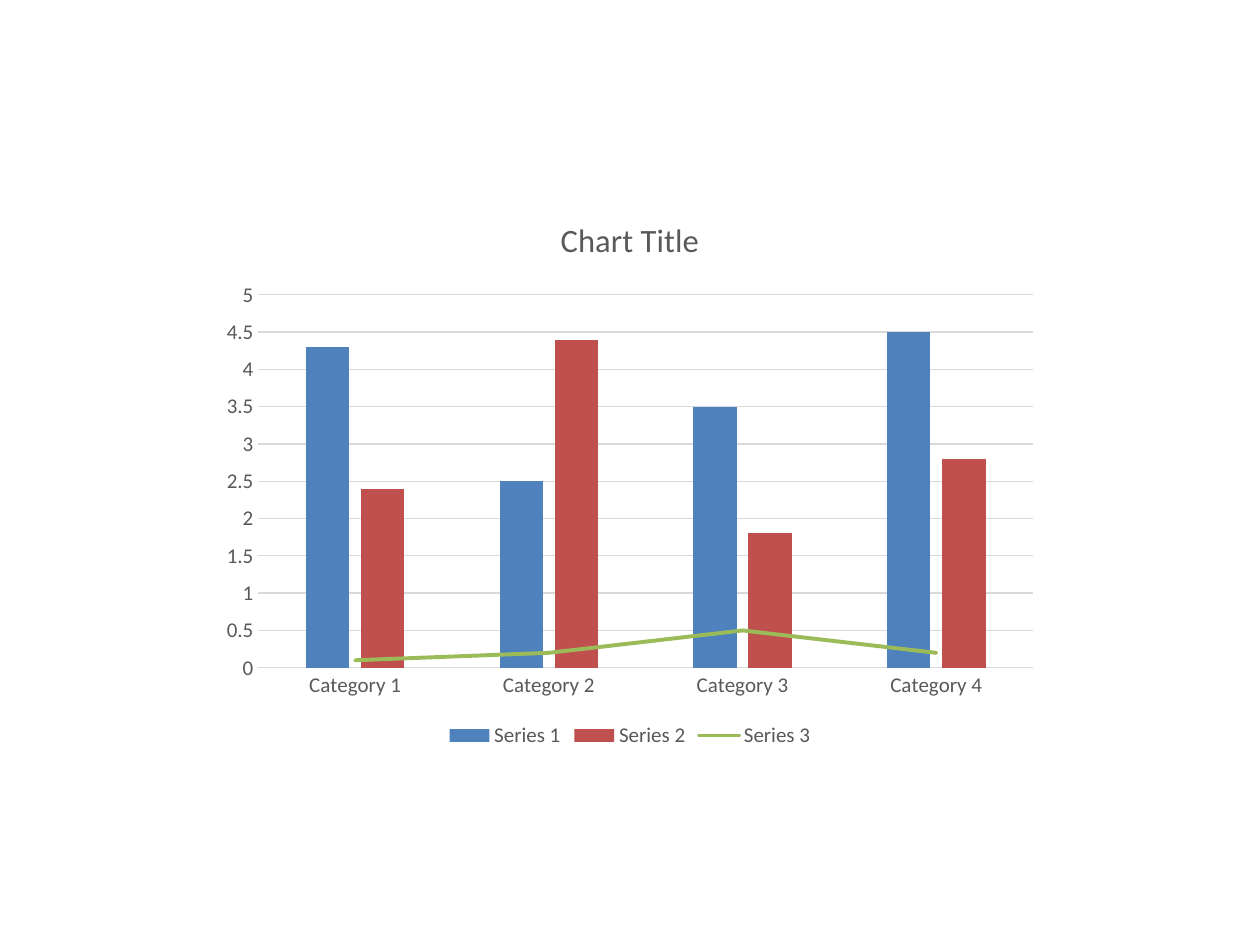
from copy import deepcopy

from lxml.etree import SubElement
from pptx import Presentation
from pptx.chart.data import CategoryChartData
from pptx.dml.color import RGBColor
from pptx.enum.chart import XL_CHART_TYPE as CT, XL_LEGEND_POSITION as LP
from pptx.enum.chart import XL_MARKER_STYLE as MS, XL_TICK_MARK as TM
from pptx.oxml.ns import qn
from pptx.util import Pt

TITLE = "Chart Title"
CATEGORIES = ["Category 1", "Category 2", "Category 3", "Category 4"]
BARS = [
    ("Series 1", (4.3, 2.5, 3.5, 4.5), "4F81BD"),
    ("Series 2", (2.4, 4.4, 1.8, 2.8), "C0504D"),
]
LINE = ("Series 3", (0.1, 0.2, 0.5, 0.2), "9BBB59")
TEXT, GRID = "595959", "D9D9D9"
CHART_BOX = (210, 193, 840, 560)
SLIDE_SIZE = (1260, 945)


def px(n):
    return round(n * 914400 / 126)


def rgb(value):
    return RGBColor.from_string(value)


def set_font(font, size):
    values = {"name": "Calibri", "size": Pt(size), "bold": False}
    for key, value in values.items():
        setattr(font, key, value)
    font.color.rgb = rgb(TEXT)


def set_line(line, color, width):
    line.color.rgb = rgb(color)
    line.width = Pt(width)


def move_last_series_to_line(chart):
    bar = chart.plots[0]._element
    ser = bar.findall(qn("c:ser"))[-1]
    for invert in ser.findall(qn("c:invertIfNegative")):
        ser.remove(invert)
    line = bar.makeelement(qn("c:lineChart"))
    SubElement(line, qn("c:grouping")).set("val", "standard")
    SubElement(line, qn("c:varyColors")).set("val", "0")
    line.append(ser)
    SubElement(line, qn("c:marker")).set("val", "1")
    for axis_id in bar.findall(qn("c:axId")):
        line.append(deepcopy(axis_id))
    bar.addnext(line)


prs = Presentation()
prs.slide_width, prs.slide_height = map(px, SLIDE_SIZE)
slide = prs.slides.add_slide(prs.slide_layouts[6])

data = CategoryChartData()
data.categories = CATEGORIES
for name, values, _ in BARS + [LINE]:
    data.add_series(name, values)
chart = slide.shapes.add_chart(
    CT.COLUMN_CLUSTERED, *map(px, CHART_BOX), data).chart
move_last_series_to_line(chart)
set_font(chart.font, 12)

chart.has_title = True
tf = chart.chart_title.text_frame
tf.text = TITLE
set_font(tf.paragraphs[0].runs[0].font, 18.6)

chart.has_legend = True
chart.legend.position = LP.BOTTOM
chart.legend.include_in_layout = False
set_font(chart.legend.font, 12)

bars, lines = chart.plots
for key, value in {"gap_width": 219, "overlap": -27,
                   "vary_by_categories": False}.items():
    setattr(bars, key, value)
for series, (_, _, color) in zip(bars.series, BARS):
    series.format.fill.solid()
    series.format.fill.fore_color.rgb = rgb(color)
series = lines.series[0]
set_line(series.format.line, LINE[2], 2.25)
series.format.line._get_or_add_ln().set("cap", "rnd")
series.marker.style = MS.NONE
series.smooth = False

for axis in (chart.category_axis, chart.value_axis):
    axis.major_tick_mark = axis.minor_tick_mark = TM.NONE
    set_font(axis.tick_labels.font, 12)
set_line(chart.category_axis.format.line, GRID, 0.75)
value_axis = chart.value_axis
value_axis.format.line.fill.background()
set_line(value_axis.major_gridlines.format.line, GRID, 0.75)
for key, value in {"minimum_scale": 0, "maximum_scale": 5,
                   "major_unit": 0.5}.items():
    setattr(value_axis, key, value)

prs.save("out.pptx")
